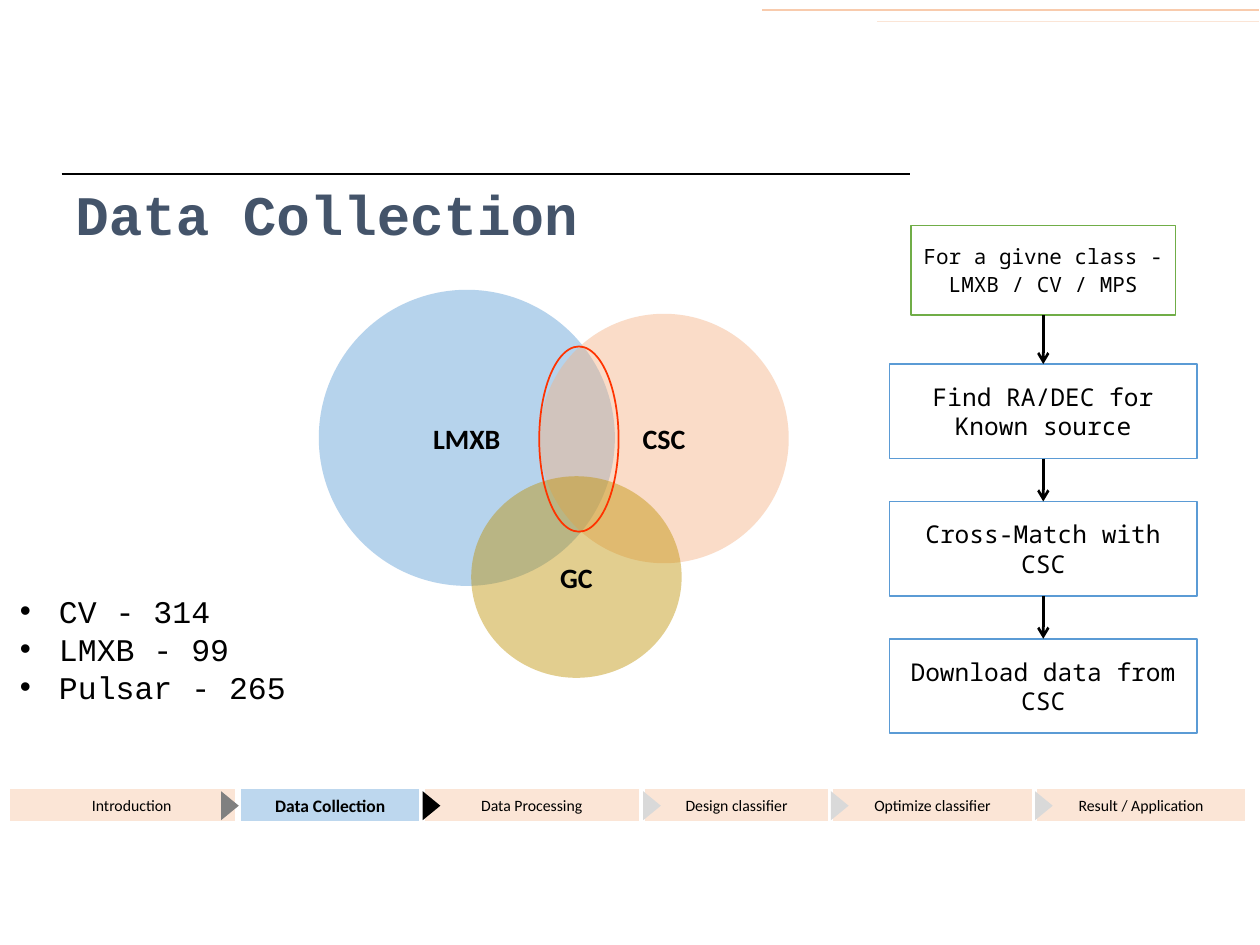
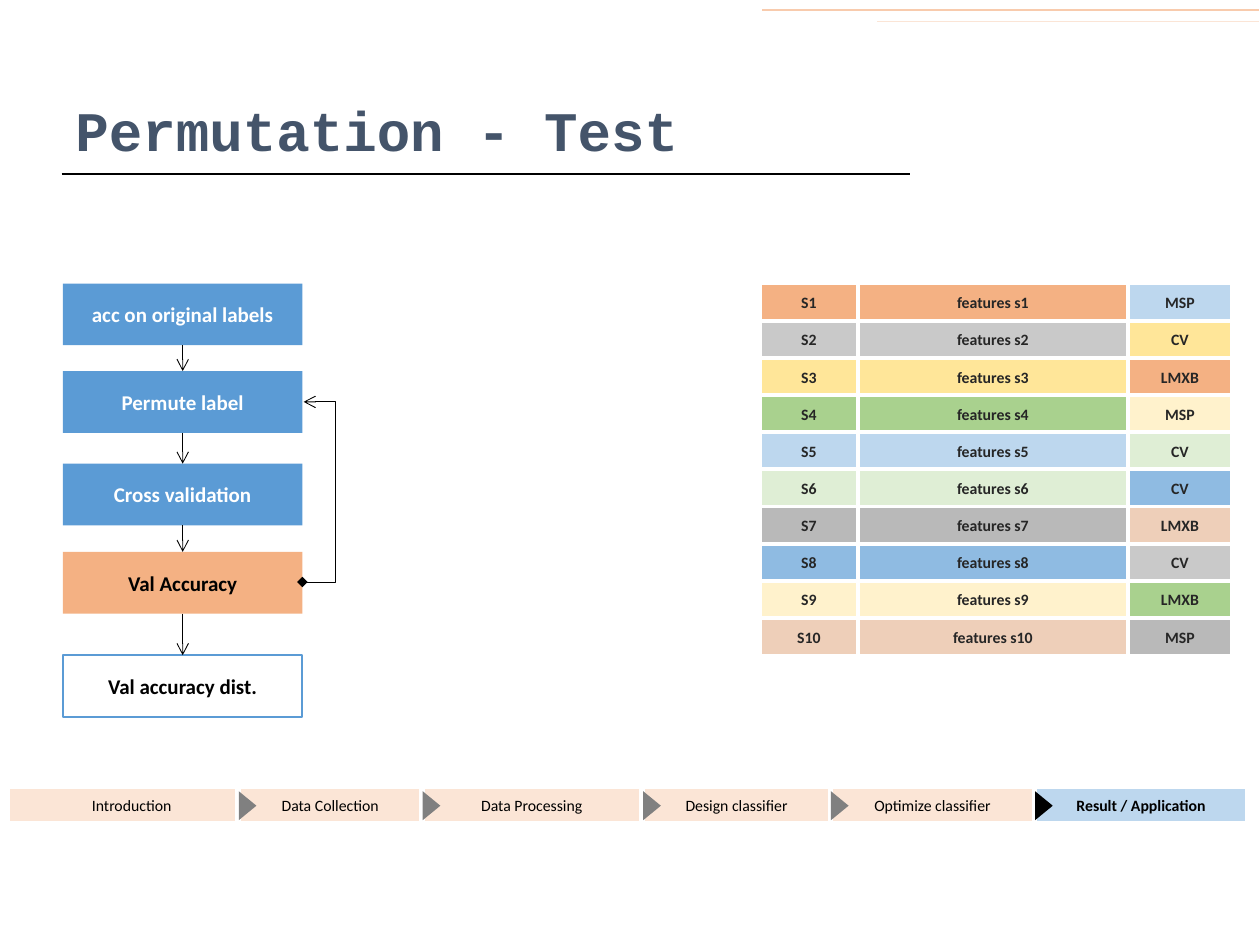
from dataclasses import dataclass
from itertools import pairwise

from lxml.etree import SubElement
from pptx import Presentation
from pptx.dml.color import RGBColor
from pptx.enum.shapes import MSO_CONNECTOR as Connector
from pptx.enum.shapes import MSO_SHAPE as Preset
from pptx.enum.text import MSO_ANCHOR as Anchor
from pptx.enum.text import PP_ALIGN as Align
from pptx.oxml.ns import qn
from pptx.util import Inches, Pt

COLUMNS, ROWS = 100, 75


def grid(cells):
    return Inches(cells / 10)


@dataclass(frozen=True)
class Theme:
    black: str = "000000"
    white: str = "FFFFFF"
    title: str = "44546A"
    ink: str = "262626"
    blue: str = "5B9BD5"
    pale_blue: str = "BDD7EE"
    green: str = "70AD47"
    orange: str = "F4B183"
    peach: str = "F8CBAD"
    pale_peach: str = "FBE5D6"
    gold: str = "BF9000"
    red: str = "FF3300"
    gray: str = "808080"
    light_gray: str = "D9D9D9"
    body_font: str = "Calibri"
    mono_font: str = "Noto Sans Mono"
    title_font: str = "Courier New"
    title_size: float = 31.9
    list_size: float = 18
    venn_size: float = 16
    step_size: float = 14
    flow_size: float = 12
    small_size: float = 9


THEME = Theme()
SAMPLE_FILLS = (
    (THEME.orange, 100), ("C9C9C9", 100), ("FFE699", 100), ("A9D18E", 100),
    (THEME.pale_blue, 100), ("A9D18E", 37), (THEME.gray, 55), (THEME.blue, 68),
    ("FFF2CC", 100), ("C55A11", 29),
)
PERMUTED_LABELS = (
    (5, "MSP"), (3, "CV"), (1, "LMXB"), (9, "MSP"), (6, "CV"),
    (8, "CV"), (10, "LMXB"), (2, "CV"), (4, "LMXB"), (7, "MSP"),
)
STAGES = (
    ("Introduction", 0, 19.7),
    ("Data Collection", 18.3, 14.6),
    ("Data Processing", 32.9, 17.4),
    ("Design classifier", 50.4, 14.9),
    ("Optimize classifier", 65.3, 16.2),
    ("Result / Application", 81.5, 16.9),
)


@dataclass(frozen=True)
class Box:
    left: float
    top: float
    width: float
    height: float

    def inner(self, left, top, width, height):
        return Box(self.left + left, self.top + top, width, height)

    def point(self, left, top):
        return self.left + left, self.top + top

    @property
    def lengths(self):
        return [grid(cells) for cells in (self.left, self.top, self.width, self.height)]


def assign(target, values):
    for name, value in values.items():
        setattr(target, name, value)


def write(shape, lines, size, color=THEME.black, font=THEME.body_font,
          bold=False, align=Align.CENTER, before=0, frame=None):
    text_frame = shape.text_frame
    assign(text_frame, {"word_wrap": True, "vertical_anchor": Anchor.MIDDLE, **(frame or {})})
    text_frame.text = "\n".join(lines)
    for paragraph in text_frame.paragraphs:
        assign(paragraph, {"alignment": align, "space_before": Pt(before)})
        run = paragraph.runs[0]
        assign(run.font, {"name": font, "size": Pt(size), "bold": bold})
        run.font.color.rgb = RGBColor.from_string(color)


def paint_line(line, color, width):
    line.color.rgb = RGBColor.from_string(color)
    line.width = Pt(width)


def add_block(slide, box, fill=None, line=None, preset=Preset.RECTANGLE, opacity=100):
    shape = slide.shapes.add_shape(preset, *box.lengths)
    shape.shadow.inherit = False
    if fill:
        shape.fill.solid()
        shape.fill.fore_color.rgb = RGBColor.from_string(fill)
    else:
        shape.fill.background()
    if fill and opacity < 100:
        color = shape._element.spPr.find(qn("a:solidFill")).find(qn("a:srgbClr"))
        SubElement(color, qn("a:alpha"), val=str(opacity * 1000))
    if line:
        paint_line(shape.line, *line)
    else:
        shape.line.fill.background()
    return shape


def add_line(slide, start, end, color=THEME.black, width=1.5, head=None, tail=None,
             kind=Connector.STRAIGHT):
    connector = slide.shapes.add_connector(kind, *map(grid, (*start, *end)))
    paint_line(connector.line, color, width)
    outline = connector._element.spPr.find(qn("a:ln"))
    for tag, arrow in (("a:headEnd", head), ("a:tailEnd", tail)):
        if arrow:
            SubElement(outline, qn(tag), type=arrow)
    SubElement(connector._element.spPr, qn("a:effectLst"))
    return connector


def link_down(slide, boxes, width):
    center = boxes[-1].left + boxes[-1].width / 2
    for upper, lower in pairwise(boxes):
        add_line(slide, (center, upper.top + upper.height), (center, lower.top),
                 width=width, tail="arrow")


def add_frame(slide, title, box):
    add_line(slide, (4.9, 13.8), (72.2, 13.8))
    add_line(slide, (99.9, 0.8), (60.5, 0.8), THEME.peach, 1)
    add_line(slide, (99.9, 1.7), (69.6, 1.7), THEME.pale_peach, 1)
    write(slide.shapes.add_textbox(*box.lengths), [title], THEME.title_size, THEME.title,
          THEME.title_font, True, Align.LEFT, frame={"margin_top": grid(1.7)})


def add_stage_bar(slide, box, active, active_size, future, arrow_shift=0):
    for index, (label, left, width) in enumerate(STAGES):
        current = index == active
        stage = add_block(slide, box.inner(left, 0, width, box.height),
                          THEME.pale_blue if current else THEME.pale_peach, (THEME.white, 3))
        write(stage, [label], active_size if current else THEME.small_size, bold=current)
    pointer = min(active, len(STAGES) - 2)
    for index, (label, left, width) in enumerate(STAGES[1:]):
        color = THEME.black if index == pointer else THEME.gray if index < pointer else future
        shift = arrow_shift if index == 0 else 0
        arrow = add_block(slide, box.inner(left - 0.4 + shift, 0.85, 2.3, 1.4), color,
                          preset=Preset.ISOSCELES_TRIANGLE)
        arrow.rotation = 90


def add_match_steps(slide, box):
    boxes = [box.inner(1.7, 0, 21, 7.1)]
    boxes += [box.inner(0, 11 + 10.9 * row, box.width, 7.5) for row in range(3)]
    steps = (
        (["For a givne class -", "LMXB / CV / MPS"], THEME.green, THEME.flow_size),
        (["Find RA/DEC for Known source"], THEME.blue, THEME.step_size),
        (["Cross-Match with CSC"], THEME.blue, THEME.step_size),
        (["Download data from CSC"], THEME.blue, THEME.step_size),
    )
    margins = {"margin_left": grid(0.8), "margin_right": grid(0.8)}
    for place, (lines, color, size) in zip(boxes, steps):
        step = add_block(slide, place, THEME.white, (color, 1))
        write(step, lines, size, font=THEME.mono_font, before=size * 0.15, frame=margins)
    link_down(slide, boxes, 1.5)


def add_catalogue_venn(slide, box):
    circles = (
        ("LMXB", THEME.blue, (0, 0, 23.5, 23.5)),
        ("CSC", THEME.orange, (17.5, 1.9, 19.8, 19.8)),
        ("GC", THEME.gold, (12.1, 14.8, 16.7, 16)),
    )
    for label, color, place in circles:
        circle = add_block(slide, box.inner(*place), color, preset=Preset.OVAL, opacity=44)
        write(circle, [label], THEME.venn_size, bold=True)
    add_block(slide, box.inner(17.5, 4.5, 6.3, 14.7), line=(THEME.red, 1), preset=Preset.OVAL)


def add_class_counts(slide, box):
    counts = slide.shapes.add_textbox(*box.lengths)
    write(counts, ["CV - 314", "LMXB - 99", "Pulsar - 265"], THEME.list_size,
          font=THEME.title_font, align=Align.LEFT)
    for paragraph in counts.text_frame.paragraphs:
        properties = paragraph._p.get_or_add_pPr()
        properties.set("marL", str(grid(3.1)))
        properties.set("indent", str(-grid(3.1)))
        SubElement(properties, qn("a:buFont"), typeface="Arial")
        SubElement(properties, qn("a:buChar"), char="•")


def add_permutation_flow(slide, box):
    steps = (
        ("acc on original labels", 0, THEME.blue, None, THEME.white),
        ("Permute label", 6.95, THEME.blue, None, THEME.white),
        ("Cross validation", 14.3, THEME.blue, None, THEME.white),
        ("Val Accuracy", 21.3, THEME.orange, None, THEME.black),
        ("Val accuracy dist.", 29.5, THEME.white, (THEME.blue, 1), THEME.black),
    )
    boxes = [box.inner(0, top, box.width, 4.9) for label, top, *colors in steps]
    for place, (label, top, fill, line, color) in zip(boxes, steps):
        write(add_block(slide, place, fill, line), [label], THEME.flow_size, color, bold=True)
    link_down(slide, boxes, 0.5)
    loop = add_line(slide, box.point(box.width, 23.7), box.point(box.width + 0.1, 9.4),
                    width=0.5, head="diamond", tail="arrow", kind=Connector.ELBOW)
    geometry = loop._element.spPr.find(qn("a:prstGeom"))
    guides = geometry.find(qn("a:avLst"))
    if guides is None:
        guides = SubElement(geometry, qn("a:avLst"))
    SubElement(guides, qn("a:gd"), name="adj1", fmla="val 2650000")


def add_sample_grid(slide, box):
    pitch = box.height / len(SAMPLE_FILLS)
    for row, (source, label) in enumerate(PERMUTED_LABELS):
        sample = row + 1
        cells = (
            (f"S{sample}", sample, 0, 7.8),
            (f"features s{sample}", sample, 7.8, 21.4),
            (label, source, 29.2, 8.3),
        )
        for text, fill_number, left, width in cells:
            color, opacity = SAMPLE_FILLS[fill_number - 1]
            cell = add_block(slide, box.inner(left, row * pitch, width, 3), color,
                             (THEME.white, 2.25), opacity=opacity)
            write(cell, [text], THEME.small_size, THEME.ink, bold=True)


def build_data_collection(slide, stage_box):
    add_frame(slide, "Data Collection", Box(5, 11.6, 71.8, 9.4))
    add_match_steps(slide, Box(70.6, 17.9, 24.4, 40.3))
    add_catalogue_venn(slide, Box(25.3, 23, 37.3, 30.8))
    add_stage_bar(slide, stage_box, 1, 10, THEME.light_gray, -1.4)
    add_class_counts(slide, Box(0.6, 44.7, 27.5, 13.6))


def build_permutation_test(slide, stage_box):
    add_frame(slide, "Permutation - Test", Box(5, 5.3, 84.5, 8.7))
    add_sample_grid(slide, Box(60.3, 22.5, 37.5, 29.5))
    add_permutation_flow(slide, Box(5, 22.5, 19, 34.4))
    add_stage_bar(slide, stage_box, 5, THEME.small_size, THEME.gray)


def main():
    presentation = Presentation()
    assign(presentation, {"slide_width": grid(COLUMNS), "slide_height": grid(ROWS)})
    stage_box = Box(0.6, 62.4, 98.4, 3)
    for build in (build_data_collection, build_permutation_test):
        build(presentation.slides.add_slide(presentation.slide_layouts[6]), stage_box)
    presentation.save("out.pptx")


if __name__ == "__main__":
    main()
